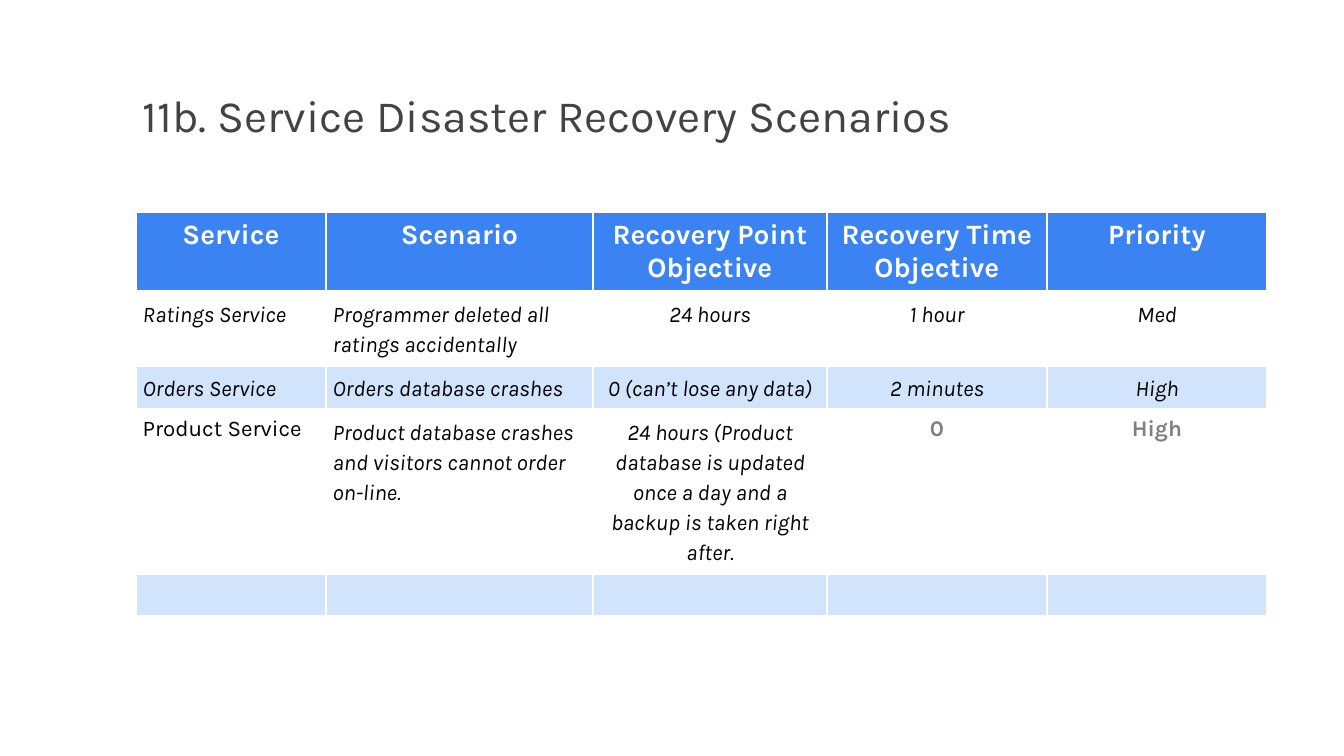
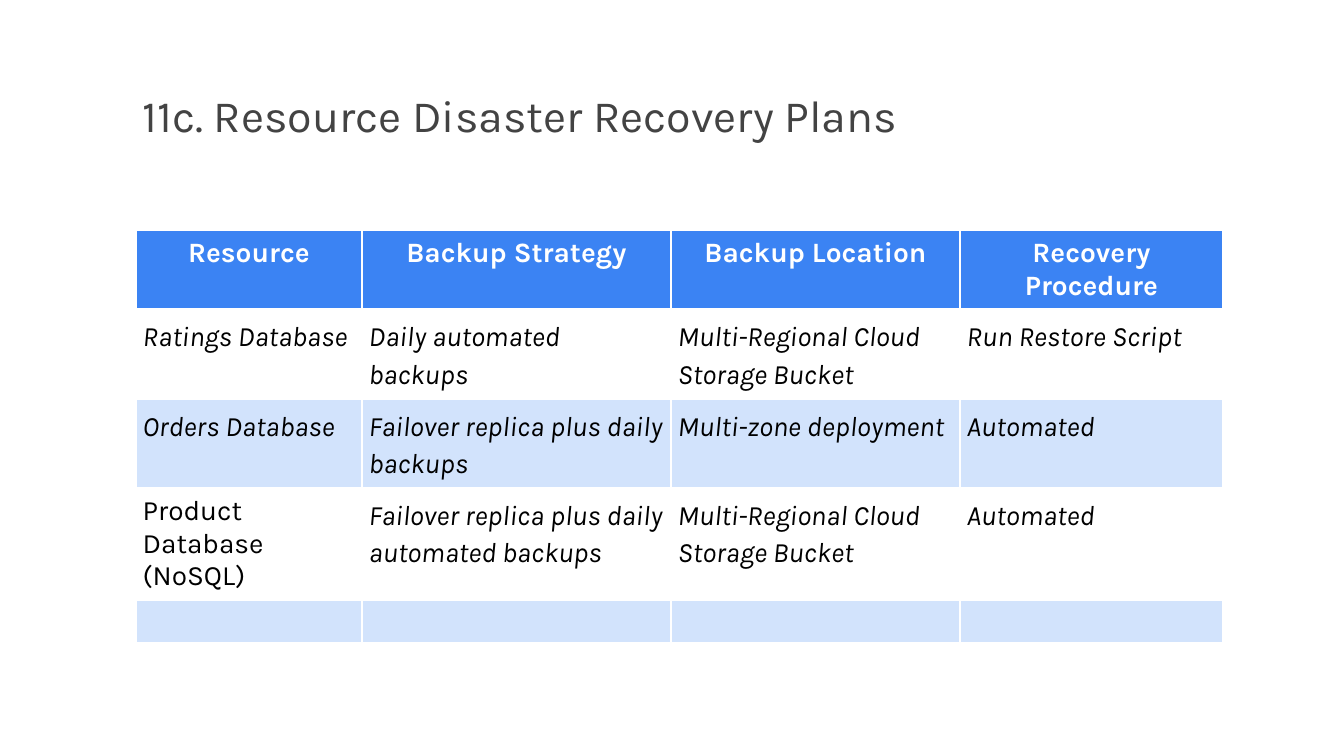
import pptx
import pptx.util
import pptx.dml.color
import pptx.enum.text
import pptx.oxml
import pptx.oxml.ns

EMU_PER_PX = 914400 / 67.2
FONT = "Karla"
WHITE = pptx.dml.color.RGBColor(0xFF, 0xFF, 0xFF)
BLACK = pptx.dml.color.RGBColor(0x00, 0x00, 0x00)
GRAY = pptx.dml.color.RGBColor(0x80, 0x80, 0x80)
TITLE_COLOR = pptx.dml.color.RGBColor(0x43, 0x43, 0x43)
HEADER_FILL = pptx.dml.color.RGBColor(0x3B, 0x83, 0xF3)
BAND_FILL = pptx.dml.color.RGBColor(0xD2, 0xE3, 0xFC)
LEFT = pptx.enum.text.PP_ALIGN.LEFT
CENTER = pptx.enum.text.PP_ALIGN.CENTER

TITLE_BOX = (136, 79, 1074, 79)
ROW_HEIGHTS = (47, 41, 34, 34, 43, 34)
CELL_MARGIN = 7
BORDER_PT = 3
UPRIGHT = {"italic": False, "spacing": None}
PLACEHOLDER = {**UPRIGHT, "bold": True, "color": GRAY}

SCENARIOS = [
    ["Service", "Scenario", "Recovery Point Objective", "Recovery Time Objective", "Priority"],
    ["Ratings Service", "Programmer deleted all ratings accidentally", "24 hours", "1 hour", "Med"],
    ["Orders Service", "Orders database crashes", "0 (can’t lose any data)", "2 minutes", "High"],
    ["Product Service", "Product database crashes and visitors cannot order on-line.",
     "24 hours (Product database is updated once a day and a backup is taken right after.",
     "0", "High"],
]
SCENARIO_STYLES = {(3, 0): UPRIGHT, (3, 3): PLACEHOLDER, (3, 4): PLACEHOLDER}

PLANS = [
    ["Resource", "Backup Strategy", "Backup Location", "Recovery Procedure"],
    ["Ratings Database", "Daily automated backups", "Multi-Regional Cloud Storage Bucket",
     "Run Restore Script"],
    ["Orders Database", "Failover replica plus daily backups", "Multi-zone deployment",
     "Automated"],
    ["Product Database (NoSQL)", "Failover replica plus daily automated backups",
     "Multi-Regional Cloud Storage Bucket", "Automated"],
]
PLAN_STYLES = {(3, 0): UPRIGHT}


def px(length):
    """Turn a length in px into EMU."""
    return pptx.util.Emu(round(length * EMU_PER_PX))


def write_text(frame, text, *, size, color=BLACK, bold=False, italic=False,
               align=LEFT, spacing=None):
    """Write one formatted paragraph into a text frame."""
    para = frame.paragraphs[0]
    para.alignment = align
    para.line_spacing = spacing
    span = para.add_run()
    span.text = text
    span.font.name = FONT
    span.font.size = pptx.util.Pt(size)
    span.font.bold = bold
    span.font.italic = italic
    span.font.color.rgb = color


def place_title(page, text, box):
    """Move the title placeholder into the box and fill it."""
    title = page.shapes.title
    title.left, title.top, title.width, title.height = map(px, box)
    frame = title.text_frame
    frame.word_wrap = True
    frame.vertical_anchor = pptx.enum.text.MSO_ANCHOR.MIDDLE
    write_text(frame, text, size=48, color=TITLE_COLOR, spacing=0.9)


def add_borders(cell):
    """Draw white lines on all four sides of a cell."""
    properties = cell._tc.get_or_add_tcPr()
    for index, side in enumerate(("lnL", "lnR", "lnT", "lnB")):
        line = pptx.oxml.parse_xml(
            f'<a:{side} {pptx.oxml.ns.nsdecls("a")} w="{pptx.util.Pt(BORDER_PT)}">'
            f'<a:solidFill><a:srgbClr val="{WHITE}"/></a:solidFill></a:{side}>')
        properties.insert(index, line)


def format_cell(cell, row):
    """Give a cell its margins, banded fill and borders."""
    cell.margin_top = cell.margin_bottom = px(CELL_MARGIN)
    if row == 0 or row in (2, 4):
        cell.fill.solid()
        cell.fill.fore_color.rgb = BAND_FILL if row else HEADER_FILL
    else:
        cell.fill.background()
    add_borders(cell)


def add_recovery_table(page, entries, corner, widths, *, body_size, centered_from, styles):
    """Add a table with a header, banded rows and blank rows at the end."""
    left, top = corner
    table = page.shapes.add_table(len(ROW_HEIGHTS), len(widths), px(left), px(top),
                                  px(sum(widths)), px(sum(ROW_HEIGHTS))).table
    table.first_row = table.horz_banding = False
    for column, width in zip(table.columns, widths):
        column.width = px(width)
    for row, height in enumerate(ROW_HEIGHTS):
        table.rows[row].height = px(height)
        for column in range(len(widths)):
            cell = table.cell(row, column)
            format_cell(cell, row)
            if row >= len(entries):
                continue
            if row == 0:
                style = {"size": 30, "color": WHITE, "bold": True, "align": CENTER}
            else:
                style = {"size": body_size, "italic": True, "spacing": 1.15,
                         "align": CENTER if column >= centered_from else LEFT}
                style.update(styles.get((row, column), {}))
            write_text(cell.text_frame, entries[row][column], **style)


def add_page(deck, title):
    """Add a title-only page with its title."""
    page = deck.slides.add_slide(deck.slide_layouts[5])
    place_title(page, title, TITLE_BOX)
    return page


def main():
    """Build and save the deck."""
    deck = pptx.Presentation()
    deck.slide_width, deck.slide_height = px(1344), px(756)
    page = add_page(deck, "11b. Service Disaster Recovery Scenarios")
    add_recovery_table(page, SCENARIOS, (136, 212), (190, 267, 234, 220, 220),
                       body_size=24, centered_from=2, styles=SCENARIO_STYLES)
    page = add_page(deck, "11c. Resource Disaster Recovery Plans")
    add_recovery_table(page, PLANS, (136, 230), (226, 309, 289, 263),
                       body_size=30, centered_from=4, styles=PLAN_STYLES)
    deck.save("out.pptx")


if __name__ == "__main__":
    main()
